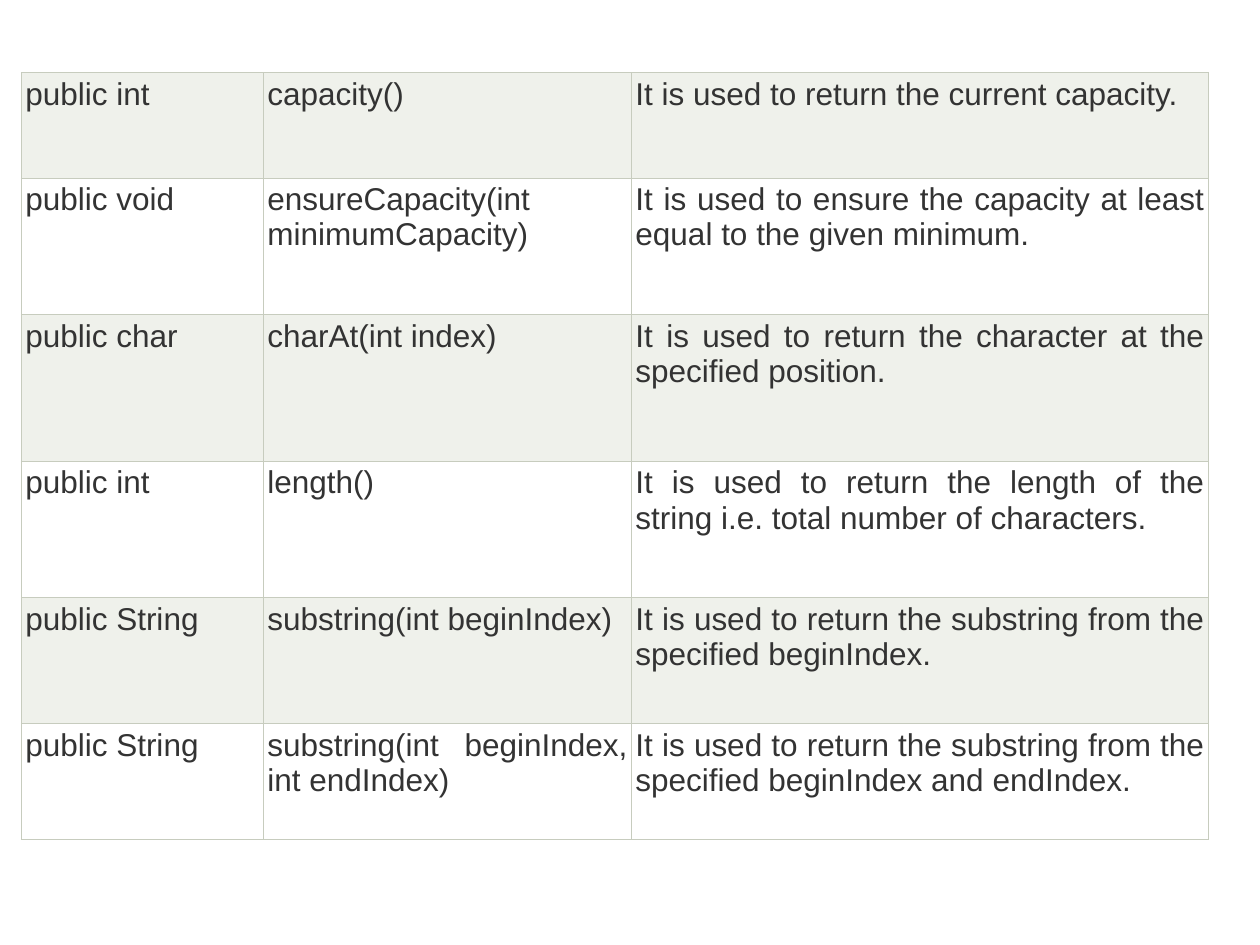
import pptx
import pptx.dml.color
import pptx.enum.text
import pptx.oxml
import pptx.oxml.ns
import pptx.util
from pptx.dml.color import RGBColor
from pptx.util import Cm

METHODS = [
    ("public int", "capacity()", "It is used to return the current capacity."),
    ("public void", "ensureCapacity(int minimumCapacity)",
     "It is used to ensure the capacity at least equal to the given minimum."),
    ("public char", "charAt(int index)",
     "It is used to return the character at the specified position."),
    ("public int", "length()",
     "It is used to return the length of the string i.e. total number of characters."),
    ("public String", "substring(int beginIndex)",
     "It is used to return the substring from the specified beginIndex."),
    ("public String", "substring(int beginIndex, int endIndex)",
     "It is used to return the substring from the specified beginIndex and endIndex."),
]
COLUMN_WIDTHS = [4.88, 7.42, 11.63]
ROW_HEIGHTS = [2.12, 2.75, 2.96, 2.75, 2.54, 2.33]
LEFT, TOP = 0.43, 1.47
CELL_MARGIN = Cm(0.08)

TEXT_COLOR = RGBColor(0x33, 0x33, 0x33)
BORDER_COLOR = RGBColor(0xC7, 0xCC, 0xBE)
BAND_COLORS = [RGBColor(0xEF, 0xF1, 0xEB), RGBColor(0xFF, 0xFF, 0xFF)]


def write_text(text_frame, text, *, size, font, color, alignment):
    paragraph = text_frame.paragraphs[0]
    paragraph.text = text
    paragraph.alignment = alignment
    paragraph.font.size = pptx.util.Pt(size)
    paragraph.font.name = font
    paragraph.font.color.rgb = color


def add_borders(cell, color, width):
    """Draw all four sides; call before the fill, which must follow in the XML."""
    properties = cell._tc.get_or_add_tcPr()
    for side in ("lnL", "lnR", "lnT", "lnB"):
        properties.append(pptx.oxml.parse_xml(
            f'<a:{side} {pptx.oxml.ns.nsdecls("a")} w="{pptx.util.Pt(width)}">'
            f'<a:solidFill><a:srgbClr val="{color}"/></a:solidFill></a:{side}>'))


def style_cell(cell, fill_color):
    cell.margin_left = cell.margin_right = CELL_MARGIN
    cell.margin_top = cell.margin_bottom = CELL_MARGIN
    add_borders(cell, BORDER_COLOR, 0.75)
    cell.fill.solid()
    cell.fill.fore_color.rgb = fill_color


def main():
    presentation = pptx.Presentation()
    presentation.slide_width, presentation.slide_height = Cm(25.4), Cm(19.05)
    slide = presentation.slides.add_slide(presentation.slide_layouts[6])
    table = slide.shapes.add_table(
        len(METHODS), len(COLUMN_WIDTHS), Cm(LEFT), Cm(TOP),
        Cm(sum(COLUMN_WIDTHS)), Cm(sum(ROW_HEIGHTS))).table
    table.first_row = False
    table.horz_banding = False

    for column, width in zip(table.columns, COLUMN_WIDTHS):
        column.width = Cm(width)
    for index, (row, height, texts) in enumerate(zip(table.rows, ROW_HEIGHTS, METHODS)):
        row.height = Cm(height)
        for cell, text in zip(row.cells, texts):
            style_cell(cell, BAND_COLORS[index % 2])
            write_text(cell.text_frame, text, size=18, font="Arial", color=TEXT_COLOR,
                       alignment=pptx.enum.text.PP_ALIGN.JUSTIFY)

    presentation.save("out.pptx")


if __name__ == "__main__":
    main()
